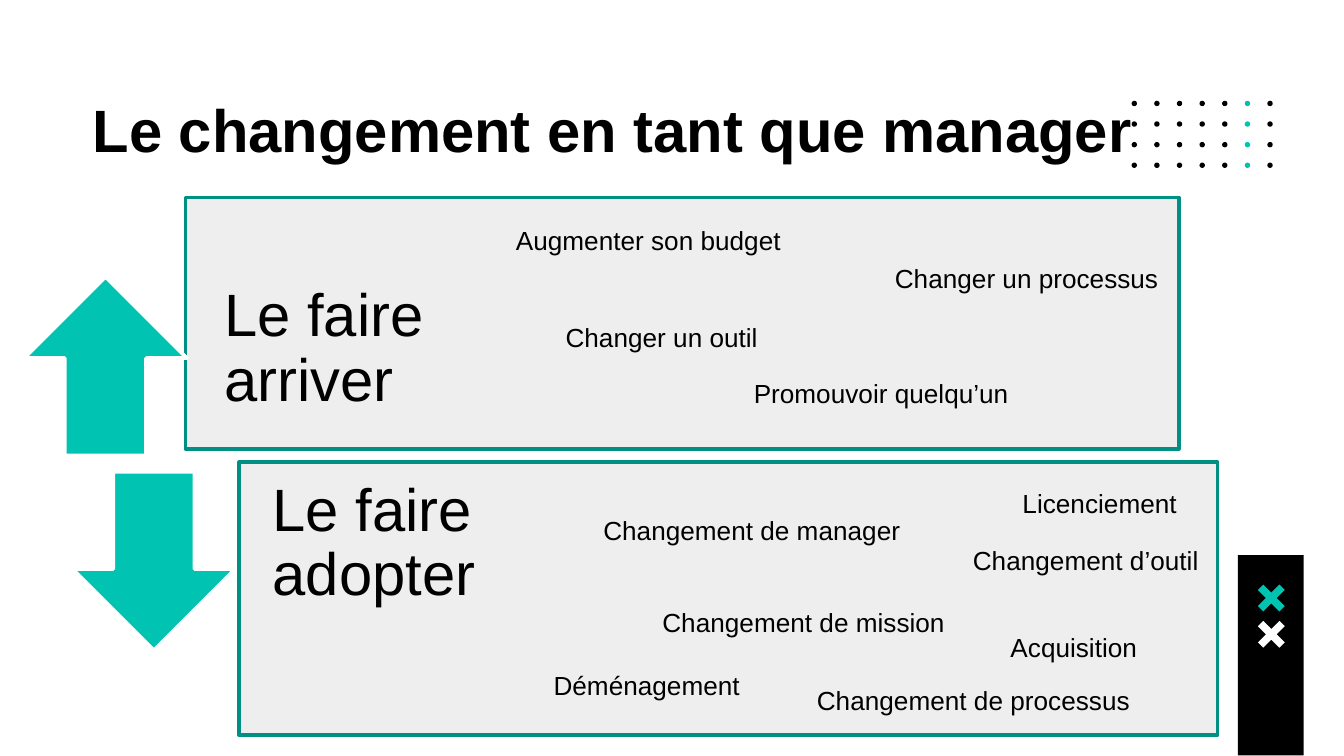
from itertools import product

from pptx import Presentation
from pptx.dml.color import RGBColor
from pptx.enum import shapes, text
from pptx.util import Inches, Pt

BLACK = RGBColor(0x00, 0x00, 0x00)
WHITE = RGBColor(0xFF, 0xFF, 0xFF)
TEAL = RGBColor(0x00, 0xC3, 0xB1)
DARK = RGBColor(0x00, 0x90, 0x83)
GREY = RGBColor(0xEE, 0xEE, 0xEE)
KIND = shapes.MSO_SHAPE

LABELS = [
    ("Augmenter son budget", 3.74, 1.62, 2.18),
    ("Changer un outil", 4.11, 2.34, 1.64),
    ("Changer un processus", 6.56, 1.9, 2.17),
    ("Promouvoir quelqu’un", 5.51, 2.76, 2.11),
    ("Changement de manager", 4.39, 3.78, 2.42),
    ("Changement de mission", 4.83, 4.46, 2.31),
    ("Acquisition", 7.42, 4.65, 1.15),
    ("Changement d’outil", 7.14, 4, 1.88),
    ("Changement de processus", 5.98, 5.04, 2.54),
    ("Licenciement", 7.51, 3.58, 1.36),
    ("Déménagement", 4.02, 4.93, 1.59),
]
# Outline of a cross, in hundredths of an inch
CROSS = [(4, 0), (0, 4), (6, 10), (0, 16), (4, 20), (10, 14),
         (16, 20), (20, 16), (14, 10), (20, 4), (16, 0), (10, 6)]


def paint(shape, fill, line=None):
    shape.shadow.inherit = False
    shape.fill.solid()
    shape.fill.fore_color.rgb = fill
    if line is None:
        shape.line.fill.background()
    else:
        shape.line.color.rgb = line
        shape.line.width = Pt(2)


def add_block(slide, kind, box, fill, line=None):
    shape = slide.shapes.add_shape(kind, *map(Inches, box))
    paint(shape, fill, line)


def write(frame, words, size, bold=False):
    frame.text = words
    font = frame.paragraphs[0].runs[0].font
    font.name = "Arial"
    font.size = Pt(size)
    font.bold = bold
    font.color.rgb = BLACK


def add_title(slide, words):
    title = slide.shapes.title
    title.left, title.top = Inches(0.59), Inches(0.59)
    title.width, title.height = Inches(8.86), Inches(0.79)
    frame = title.text_frame
    frame.auto_size = text.MSO_AUTO_SIZE.NONE
    frame.vertical_anchor = text.MSO_ANCHOR.TOP
    frame.margin_left = frame.margin_right = Inches(0.1)
    frame.margin_top = frame.margin_bottom = Inches(0.1)
    write(frame, words, 32, True)
    frame.paragraphs[0].alignment = text.PP_ALIGN.LEFT


def add_dots(slide):
    for row, col in product(range(4), range(7)):
        box = (8.42 + col * 1.01 / 6, 0.75 + row * 0.46 / 3, 0.04, 0.04)
        add_block(slide, KIND.OVAL, box, TEAL if col == 5 else BLACK)


def add_cross(slide, left, top, fill):
    path = slide.shapes.build_freeform(*CROSS[0], scale=Inches(0.01))
    path.add_line_segments(CROSS[1:], close=True)
    paint(path.convert_to_shape(Inches(left), Inches(top)), fill)


def add_step(slide, kind, left, top, words):
    """Add a block arrow with its large heading to the right."""
    add_block(slide, kind, (left, top, 1.21, 1.33), TEAL, WHITE)
    box = slide.shapes.add_textbox(Inches(left + 1.24), Inches(top),
                                   Inches(2.06), Inches(1.33))
    frame = box.text_frame
    frame.word_wrap = True
    frame.vertical_anchor = text.MSO_ANCHOR.MIDDLE
    frame.margin_left = frame.margin_right = frame.margin_bottom = Inches(0.25)
    frame.margin_top = 0
    write(frame, words, 32)
    frame.paragraphs[0].line_spacing = 0.9


def add_label(slide, words, left, top, width):
    box = slide.shapes.add_textbox(Inches(left), Inches(top),
                                   Inches(width), Inches(0.34))
    frame = box.text_frame
    frame.word_wrap = False
    frame.auto_size = text.MSO_AUTO_SIZE.SHAPE_TO_FIT_TEXT
    write(frame, words, 14)


def main():
    deck = Presentation()
    deck.slide_width = Inches(10)
    deck.slide_height = Inches(10) * 9 // 16
    slide = deck.slides.add_slide(deck.slide_layouts[5])

    add_dots(slide)
    add_block(slide, KIND.RECTANGLE, (9.21, 4.13, 0.49, 1.49), BLACK)
    add_cross(slide, 9.36, 4.35, TEAL)
    add_cross(slide, 9.36, 4.62, WHITE)
    add_block(slide, KIND.RECTANGLE, (1.78, 3.44, 7.28, 2.03), GREY, DARK)
    add_block(slide, KIND.RECTANGLE, (1.38, 1.47, 7.39, 1.87), GREY, DARK)
    add_title(slide, "Le changement en tant que manager")
    add_step(slide, KIND.UP_ARROW, 0.18, 2.06, "Le faire arriver")
    add_step(slide, KIND.DOWN_ARROW, 0.54, 3.51, "Le faire adopter")
    for label in LABELS:
        add_label(slide, *label)

    deck.save("out.pptx")


if __name__ == "__main__":
    main()
